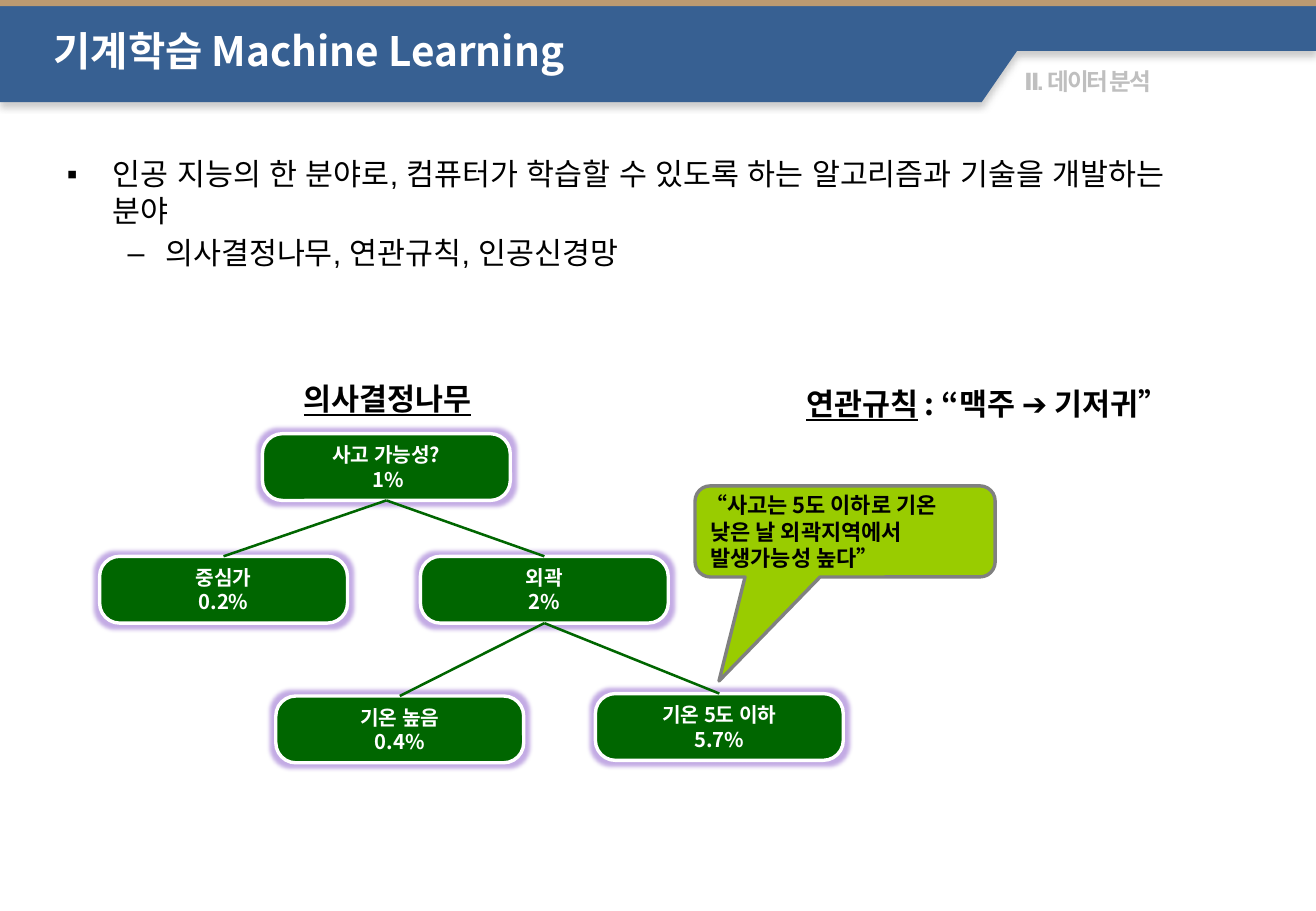
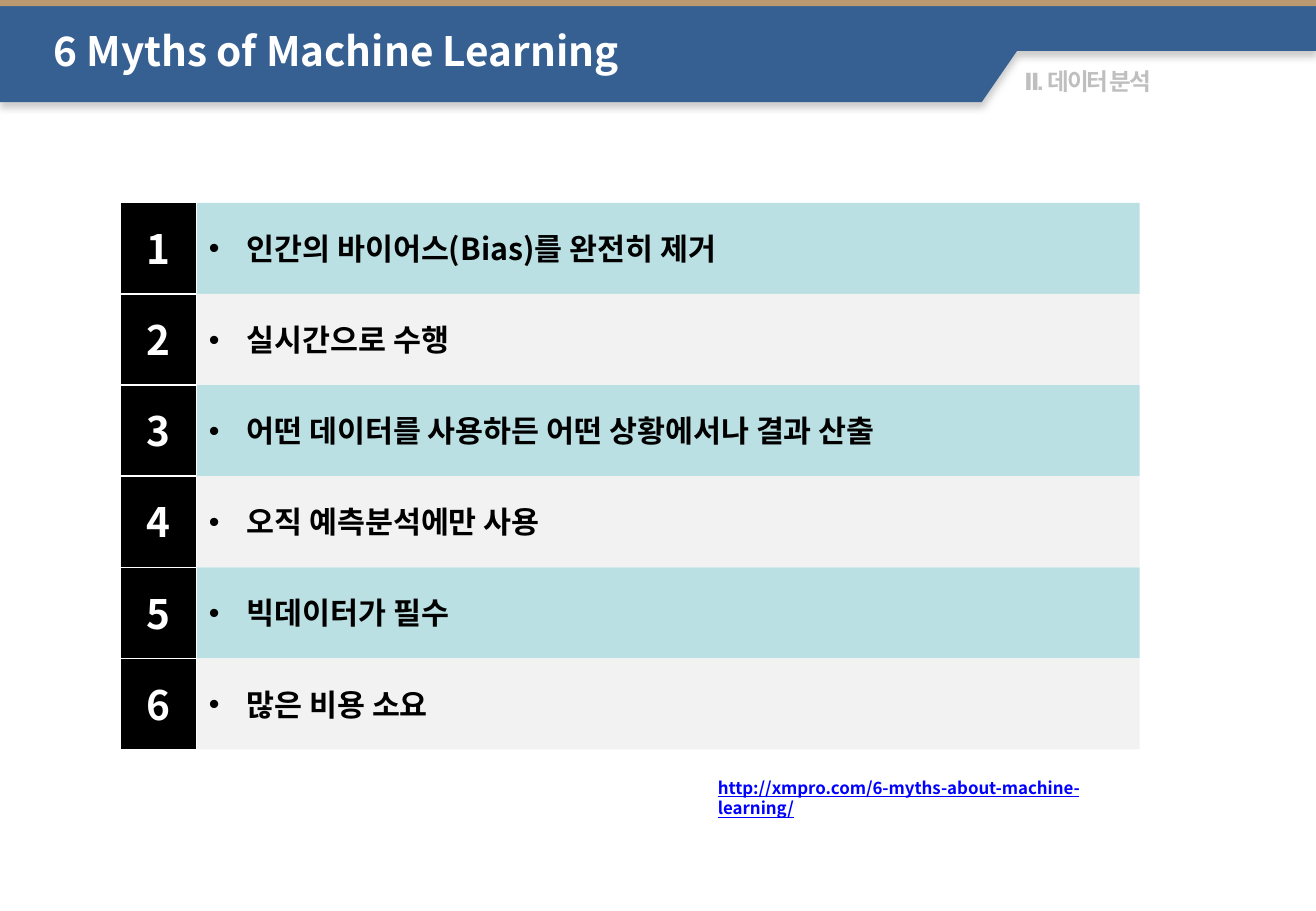
"""Build two slides on machine learning."""
from lxml.etree import SubElement
from pptx import Presentation
from pptx.dml.color import RGBColor
from pptx.enum.shapes import MSO_CONNECTOR, MSO_SHAPE
from pptx.enum.text import MSO_ANCHOR, MSO_AUTO_SIZE, PP_ALIGN
from pptx.oxml.ns import qn
from pptx.util import Inches, Pt

SANS, ARIAL = "Noto Sans CJK KR", "Arial"
BLACK, WHITE, GREEN, GRAY = "000000", "FFFFFF", "006600", "808080"
BAND = [(0, 0), (10.83, 0), (10.83, 0.42), (8.37, 0.42), (8.08, 0.84), (0, 0.84)]
SECTION = "Ⅱ. 데이터 분석"
TITLES = ["기계학습 Machine Learning", "6 Myths of Machine Learning"]
POINTS = [
    ("인공 지능의 한 분야로, 컴퓨터가 학습할 수 있도록 하는 알고리즘과 기술을 개발하는 분야",
     0, "▪", 0.38, 0.38, 0),
    ("의사결정나무, 연관규칙, 인공신경망", 1, "–", 0.81, 0.31, 3.6),
]
NODES = {
    "root": ("사고 가능성?\n 1%", 2.16, 3.57),
    "center": ("중심가\n0.2%", 0.82, 4.58),
    "suburb": ("외곽\n2%", 3.46, 4.58),
    "warm": ("기온 높음\n0.4%", 2.27, 5.73),
    "cold": ("기온 5도 이하\n5.7%", 4.9, 5.71),
}
EDGES = [("root", "center"), ("root", "suburb"), ("suburb", "warm"), ("suburb", "cold")]
QUOTE = "“사고는 5도 이하로 기온\n 낮은 날 외곽지역에서\n 발생가능성 높다”"
MYTHS = [
    "인간의 바이어스(Bias)를 완전히 제거",
    "실시간으로 수행",
    "어떤 데이터를 사용하든 어떤 상황에서나 결과 산출",
    "오직 예측분석에만 사용",
    "빅데이터가 필수",
    "많은 비용 소요",
]
LINK = "http://xmpro.com/6-myths-about-machine-learning/"


def rgb(code):
    """Turn a hex string into a colour."""
    return RGBColor.from_string(code)


def style(frame, size, color=BLACK, face=SANS, bold=True, align=PP_ALIGN.LEFT):
    """Format every run of a text frame."""
    for para in frame.paragraphs:
        para.alignment = align
        for run in para.runs:
            font = run.font
            font.size, font.bold, font.name = Pt(size), bold, face
            font.color.rgb = rgb(color)
            SubElement(font._element, qn("a:ea"), typeface=face)


def bullet(para, char, left, hang):
    """Give a paragraph a bullet and a hanging indent."""
    props = para._p.get_or_add_pPr()
    props.set("marL", str(Inches(left)))
    props.set("indent", str(-Inches(hang)))
    SubElement(props, qn("a:buFont"), typeface=ARIAL)
    SubElement(props, qn("a:buChar"), char=char)


def place(shape, left, top, width, height):
    """Move and size a shape in inches."""
    shape.left, shape.top = Inches(left), Inches(top)
    shape.width, shape.height = Inches(width), Inches(height)


def paint(shape, fill, line=None, width=0.75):
    """Set fill and outline and drop the shadow."""
    shape.shadow.inherit = False
    shape.fill.solid()
    shape.fill.fore_color.rgb = rgb(fill)
    if line:
        shape.line.color.rgb = rgb(line)
        shape.line.width = Pt(width)
    else:
        shape.line.fill.background()


def effect(shape, kind, color, alpha, **attrs):
    """Add a glow or shadow to a painted shape."""
    node = SubElement(shape._element.spPr.find(qn("a:effectLst")), qn("a:" + kind), **attrs)
    tone = SubElement(node, qn("a:srgbClr"), val=color)
    SubElement(tone, qn("a:alpha"), val=str(alpha * 1000))


def block(slide, kind, box, fill, line=None, width=0.75):
    """Add a painted preset shape."""
    shape = slide.shapes.add_shape(kind, *map(Inches, box))
    paint(shape, fill, line, width)
    shape.text_frame.vertical_anchor = MSO_ANCHOR.MIDDLE
    return shape


def label(slide, text, box, wrap=True):
    """Add a text box and return its frame."""
    frame = slide.shapes.add_textbox(*map(Inches, box)).text_frame
    frame.word_wrap = wrap
    frame.text = text
    return frame


def brand(deck, slide):
    """Draw the shared band, section label and strip and move them to the master."""
    points = [(Inches(x), Inches(y)) for x, y in BAND]
    path = slide.shapes.build_freeform(*points[0], scale=1.0)
    path.add_line_segments(points[1:], close=True)
    band = path.convert_to_shape()
    paint(band, "376092")
    effect(band, "outerShdw", GRAY, 40, blurRad=str(Pt(4)), dist=str(Pt(3)), dir="5400000")
    frame = label(slide, SECTION, (8.33, 0.5, 2.52, 0.34))
    style(frame, 14, "BFBFBF", ARIAL)
    for run in frame.paragraphs[0].runs:
        run.font._element.set("spc", "-150")
    block(slide, MSO_SHAPE.RECTANGLE, (0, 0, 10.83, 0.05), "BB9A71")
    for num, shape in enumerate(list(slide.shapes)[-3:], 101):
        shape._element.xpath(".//p:cNvPr")[0].set("id", str(num))
        deck.slide_master.shapes.element.append(shape._element)


def head(slide, text):
    """Fill and format the title."""
    title = slide.shapes.title
    place(title, 0.34, 0.24, 8.31, 0.44)
    frame = title.text_frame
    frame.text = text
    frame.auto_size = MSO_AUTO_SIZE.NONE
    frame.vertical_anchor = MSO_ANCHOR.TOP
    frame.paragraphs[0].line_spacing = 0.8
    style(frame, 24, WHITE)


def tree(slide):
    """Draw the body list, decision tree and association rule."""
    body = slide.placeholders[1]
    place(body, 0.45, 1.23, 9.48, 5.91)
    frame = body.text_frame
    frame.text = "\n".join(point[0] for point in POINTS)
    for para, (_, level, char, left, hang, gap) in zip(frame.paragraphs, POINTS):
        para.level = level
        para.space_before = Pt(gap)
        bullet(para, char, left, hang)
    style(frame, 18, face=ARIAL, bold=False)

    rule = label(slide, "연관규칙", (6.42, 3.12, 3.41, 0.4), False)
    rule.paragraphs[0].add_run().text = " : “맥주 ➔ 기저귀”"
    name = label(slide, "의사결정나무", (2.33, 3.08, 1.72, 0.4), False)
    for frame in (rule, name):
        style(frame, 18, align=PP_ALIGN.CENTER)
        frame.paragraphs[0].runs[0].font.underline = True

    boxes = {}
    for key, (text, left, top) in NODES.items():
        box = block(slide, MSO_SHAPE.ROUNDED_RECTANGLE, (left, top, 2.04, 0.55), GREEN, WHITE, 2)
        box.adjustments[0] = 0.3
        effect(box, "glow", "B090DC", 75, rad=str(Pt(5)))
        box.text_frame.text = text
        style(box.text_frame, 12, WHITE, align=PP_ALIGN.CENTER)
        boxes[key] = box
    for start, end in EDGES:
        edge = slide.shapes.add_connector(MSO_CONNECTOR.STRAIGHT, 0, 0, 0, 0)
        edge.begin_connect(boxes[start], 2)
        edge.end_connect(boxes[end], 0)
        edge.line.color.rgb = rgb(GREEN)
        edge.line.width = Pt(1.5)
        SubElement(edge._element.spPr, qn("a:effectLst"))

    note = block(slide, MSO_SHAPE.ROUNDED_RECTANGULAR_CALLOUT, (5.72, 4, 2.47, 0.75),
                 "99CC00", GRAY, 2)
    for num, value in enumerate((-0.42, 1.642, 0.167)):
        note.adjustments[num] = value
    frame = note.text_frame
    frame.margin_left = frame.margin_right = Inches(0.05)
    frame.margin_top = frame.margin_bottom = Inches(0.04)
    frame.text = QUOTE
    style(frame, 13)


def myths(slide):
    """Draw the numbered rows and the web address."""
    for num, text in enumerate(MYTHS):
        top = 1.67 + num * 0.75
        fill = "F2F2F2" if num % 2 else "BBE0E3"
        row = block(slide, MSO_SHAPE.RECTANGLE, (1.62, top, 7.76, 0.75), fill)
        row.text_frame.text = text
        bullet(row.text_frame.paragraphs[0], "•", 0.31, 0.31)
        style(row.text_frame, 18)
        tag = block(slide, MSO_SHAPE.RECTANGLE, (0.99, top, 0.63, 0.75), BLACK, WHITE)
        tag.text_frame.text = str(num + 1)
        style(tag.text_frame, 24, WHITE, align=PP_ALIGN.CENTER)
    frame = label(slide, LINK, (5.81, 6.35, 3.74, 0.27))
    style(frame, 10, "0000FF")
    frame.paragraphs[0].runs[0].font.underline = True


def main():
    """Build and save the deck."""
    deck = Presentation()
    deck.slide_width, deck.slide_height = Inches(10.83), Inches(7.5)
    for num, (text, layout, draw) in enumerate(zip(TITLES, (1, 5), (tree, myths))):
        slide = deck.slides.add_slide(deck.slide_layouts[layout])
        if num == 0:
            brand(deck, slide)
        head(slide, text)
        draw(slide)
    deck.save("out.pptx")


if __name__ == "__main__":
    main()
